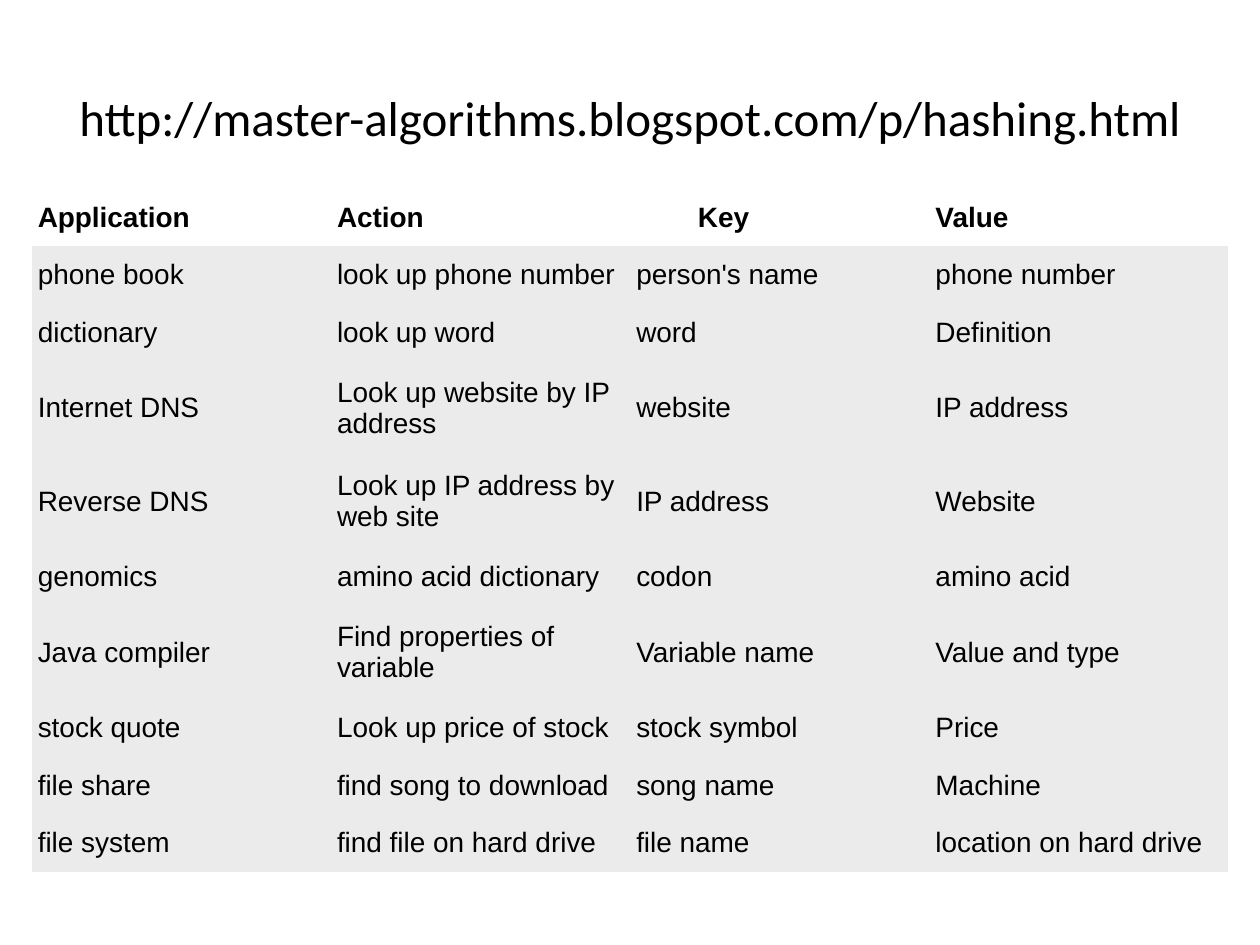
from dataclasses import dataclass

from lxml import etree
from pptx import Presentation
from pptx.dml.color import RGBColor
from pptx.enum.text import MSO_ANCHOR, PP_ALIGN
from pptx.oxml.ns import qn
from pptx.slide import Slide
from pptx.table import _Cell
from pptx.text.text import _Paragraph
from pptx.util import Inches, Pt

MIDDLE = MSO_ANCHOR.MIDDLE
CENTER = PP_ALIGN.CENTER

BLACK = RGBColor(0x00, 0x00, 0x00)
WHITE = RGBColor(0xFF, 0xFF, 0xFF)
LIGHT_GRAY = RGBColor(0xEB, 0xEB, 0xEB)

SLIDE_WIDTH = Inches(10)
SLIDE_HEIGHT = Inches(7.5)
CELL_MARGIN = Inches(0.05)
KEY_HEADING_MARGIN = Inches(0.54)
ONE_LINE_UNITS = 8
TWO_LINE_UNITS = 13


@dataclass(frozen=True)
class Area:
    left: float
    top: float
    width: float
    height: float

    def to_lengths(self) -> tuple[int, int, int, int]:
        return (
            round(self.left * SLIDE_WIDTH),
            round(self.top * SLIDE_HEIGHT),
            round(self.width * SLIDE_WIDTH),
            round(self.height * SLIDE_HEIGHT),
        )


@dataclass(frozen=True)
class TextStyle:
    font_name: str
    size: int
    bold: bool = False


@dataclass(frozen=True)
class HashingUse:
    application: str
    action: str
    key: str
    value: str
    height_units: int = ONE_LINE_UNITS

    def texts(self) -> tuple[str, ...]:
        return self.application, self.action, self.key, self.value


TITLE_AREA = Area(0.05, 0.04, 0.9, 1 / 6)
TABLE_AREA = Area(0.025, 0.2, 0.95, 0.7227)
TITLE_STYLE = TextStyle("Calibri", 28)
HEADING_STYLE = TextStyle("Arial", 16, bold=True)
BODY_STYLE = TextStyle("Arial", 16)

TITLE = "http://master-algorithms.blogspot.com/p/hashing.html"
HEADINGS = HashingUse("Application", "Action", "Key", "Value")
USES = [
    HashingUse("phone book", "look up phone number", "person's name", "phone number"),
    HashingUse("dictionary", "look up word", "word", "Definition"),
    HashingUse("Internet DNS", "Look up website by IP address", "website", "IP address", TWO_LINE_UNITS),
    HashingUse("Reverse DNS", "Look up IP address by web site", "IP address", "Website", TWO_LINE_UNITS),
    HashingUse("genomics", "amino acid dictionary", "codon", "amino acid"),
    HashingUse("Java compiler", "Find properties of variable", "Variable name", "Value and type", TWO_LINE_UNITS),
    HashingUse("stock quote", "Look up price of stock", "stock symbol", "Price"),
    HashingUse("file share", "find song to download", "song name", "Machine"),
    HashingUse("file system", "find file on hard drive", "file name", "location on hard drive"),
]


def add_text(paragraph: _Paragraph, text: str, style: TextStyle) -> None:
    run = paragraph.add_run()
    run.text = text
    run.font.name = style.font_name
    run.font.size = Pt(style.size)
    run.font.bold = style.bold
    run.font.color.rgb = BLACK


def add_title(slide: Slide) -> None:
    shape = slide.shapes.add_textbox(*TITLE_AREA.to_lengths())
    shape.text_frame.word_wrap = True
    shape.text_frame.vertical_anchor = MIDDLE
    paragraph = shape.text_frame.paragraphs[0]
    paragraph.alignment = CENTER
    add_text(paragraph, TITLE, TITLE_STYLE)


def fill_cell(cell: _Cell, text: str, style: TextStyle, color: RGBColor) -> None:
    cell.margin_left = cell.margin_right = CELL_MARGIN
    cell.margin_top = cell.margin_bottom = CELL_MARGIN
    cell.vertical_anchor = MIDDLE
    properties = cell._tc.get_or_add_tcPr()
    for side in ("a:lnL", "a:lnR", "a:lnT", "a:lnB"):
        border = etree.SubElement(properties, qn(side))
        etree.SubElement(border, qn("a:noFill"))
    cell.fill.solid()
    cell.fill.fore_color.rgb = color
    add_text(cell.text_frame.paragraphs[0], text, style)


def add_uses_table(slide: Slide) -> None:
    entries = [HEADINGS, *USES]
    column_count = len(HEADINGS.texts())
    left, top, width, height = TABLE_AREA.to_lengths()
    table = slide.shapes.add_table(len(entries), column_count, left, top, width, height).table
    table.first_row = False
    table.horz_banding = False
    for column in table.columns:
        column.width = width // column_count
    unit = height / sum(entry.height_units for entry in entries)
    for row, entry in zip(table.rows, entries):
        row.height = round(unit * entry.height_units)
        is_heading = entry is HEADINGS
        style = HEADING_STYLE if is_heading else BODY_STYLE
        color = WHITE if is_heading else LIGHT_GRAY
        for cell, text in zip(row.cells, entry.texts()):
            fill_cell(cell, text, style, color)
    table.cell(0, HEADINGS.texts().index(HEADINGS.key)).margin_left = KEY_HEADING_MARGIN


def main() -> None:
    presentation = Presentation()
    presentation.slide_width = SLIDE_WIDTH
    presentation.slide_height = SLIDE_HEIGHT
    slide = presentation.slides.add_slide(presentation.slide_layouts[6])
    add_title(slide)
    add_uses_table(slide)
    presentation.save("out.pptx")


if __name__ == "__main__":
    main()
